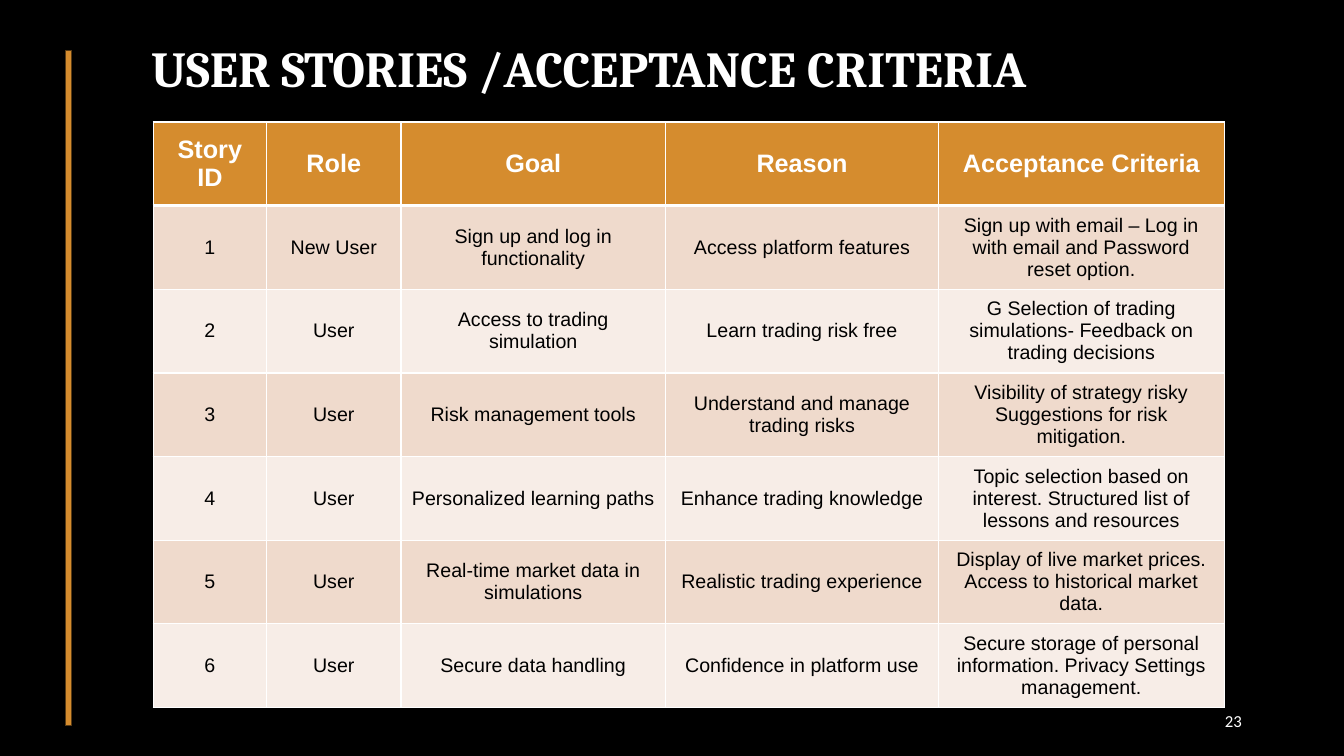
from lxml.etree import SubElement
from pptx import Presentation
from pptx.dml.color import RGBColor
from pptx.enum.shapes import MSO_SHAPE
from pptx.enum.text import MSO_ANCHOR, PP_ALIGN
from pptx.oxml.ns import qn
from pptx.util import Pt

COLORS = {
    "background": "000000",
    "accent": "D58C2E",
    "accent_edge": "593B13",
    "light": "FFFFFF",
    "dark": "000000",
    "odd_row": "EFDACC",
    "even_row": "F7EDE7",
}
COLUMN_WIDTHS = [81, 96, 189, 195, 204]
ROW_HEIGHT = 59.76
STORIES = [
    ("Story ID", "Role", "Goal", "Reason", "Acceptance Criteria"),
    ("1", "New User", "Sign up and log in functionality", "Access platform features",
     "Sign up with email – Log in with email and Password reset option."),
    ("2", "User", "Access to trading simulation", "Learn trading risk free",
     "G Selection of trading simulations- Feedback on trading decisions"),
    ("3", "User", "Risk management tools", "Understand and manage trading risks",
     "Visibility of strategy risky Suggestions for risk mitigation."),
    ("4", "User", "Personalized learning paths", "Enhance trading knowledge",
     "Topic selection based on interest. Structured list of lessons and resources"),
    ("5", "User", "Real-time market data in simulations", "Realistic trading experience",
     "Display of live market prices. Access to historical market data."),
    ("6", "User", "Secure data handling", "Confidence in platform use",
     "Secure storage of personal information. Privacy Settings management."),
]


def color(name):
    return RGBColor.from_string(COLORS[name])


def write(frame, text, font_name, size, ink, bold=False, align=PP_ALIGN.LEFT):
    paragraph = frame.paragraphs[0]
    paragraph.text = text
    paragraph.alignment = align
    font = paragraph.font
    font.name, font.size, font.bold = font_name, Pt(size), bold
    font.color.rgb = color(ink)
    return paragraph


def add_label(slide, box, text, font_name, size, **style):
    frame = slide.shapes.add_textbox(*map(Pt, box)).text_frame
    frame.word_wrap = True
    frame.vertical_anchor = MSO_ANCHOR.MIDDLE
    return write(frame, text, font_name, size, "light", **style)


def add_side_bar(slide):
    bar = slide.shapes.add_shape(
        MSO_SHAPE.RECTANGLE, Pt(46.8), Pt(36), Pt(4.32), Pt(482.4))
    bar.shadow.inherit = False
    bar.fill.solid()
    bar.fill.fore_color.rgb = color("accent")
    bar.line.color.rgb = color("accent_edge")
    bar.line.width = Pt(1)


def set_borders(cell, top, bottom):
    properties = cell._tc.get_or_add_tcPr()
    for side, width in (("L", 1), ("R", 1), ("T", top), ("B", bottom)):
        border = SubElement(properties, qn(f"a:ln{side}"), w=str(Pt(width)))
        fill = SubElement(border, qn("a:solidFill"))
        SubElement(fill, qn("a:srgbClr"), val=COLORS["light"])


def fill_cell(cell, text, row):
    is_header = row == 0
    set_borders(cell, top=3 if row == 1 else 1, bottom=3 if is_header else 1)
    cell.fill.solid()
    cell.fill.fore_color.rgb = color(
        "accent" if is_header else "odd_row" if row % 2 else "even_row")
    cell.vertical_anchor = MSO_ANCHOR.MIDDLE
    write(cell.text_frame, text, "Arial", 18 if is_header else 14,
          "light" if is_header else "dark", bold=is_header, align=PP_ALIGN.CENTER)


def add_story_table(slide):
    table = slide.shapes.add_table(
        len(STORIES), len(COLUMN_WIDTHS), Pt(109.44), Pt(87.12),
        Pt(sum(COLUMN_WIDTHS)), Pt(ROW_HEIGHT * len(STORIES))).table
    for column, width in zip(table.columns, COLUMN_WIDTHS):
        column.width = Pt(width)
    for row, story in enumerate(STORIES):
        table.rows[row].height = Pt(ROW_HEIGHT)
        for column, text in enumerate(story):
            fill_cell(table.cell(row, column), text, row)


def main():
    presentation = Presentation()
    presentation.slide_width, presentation.slide_height = Pt(960), Pt(540)
    slide = presentation.slides.add_slide(presentation.slide_layouts[6])
    slide.background.fill.solid()
    slide.background.fill.fore_color.rgb = color("background")

    title = add_label(slide, (100.8, 10.8, 843.84, 80.64),
                      "USER STORIES /ACCEPTANCE CRITERIA", "Cambria", 36, bold=True)
    title.line_spacing = 0.9
    add_label(slide, (678.24, 500.4, 216, 28.8), "23", "Calibri", 12,
              align=PP_ALIGN.RIGHT)
    add_side_bar(slide)
    add_story_table(slide)
    presentation.save("out.pptx")


if __name__ == "__main__":
    main()
